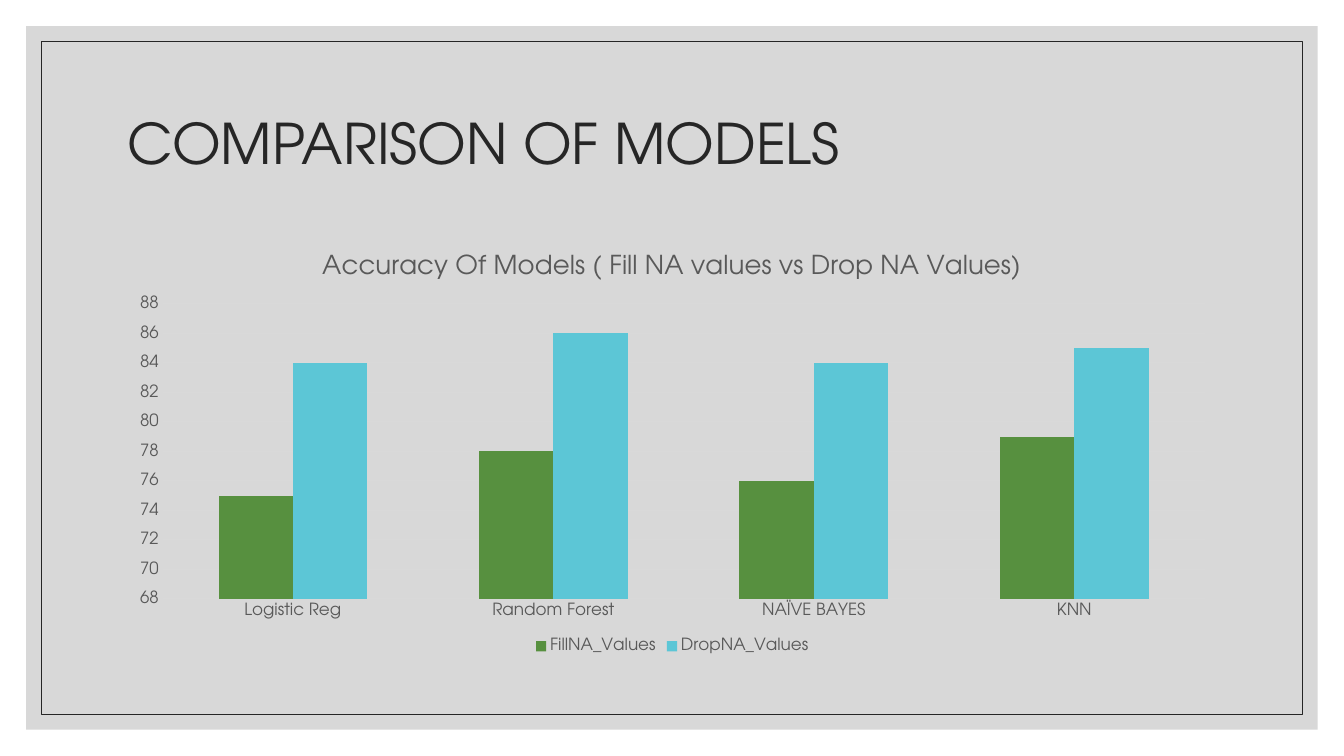
"""Build the slide comparing model accuracy for filled and dropped NA values."""
from lxml import etree
from pptx import Presentation
from pptx import util as u
from pptx.chart.data import CategoryChartData
from pptx.dml.color import RGBColor
from pptx.enum import chart as ch, shapes, text
from pptx.oxml.ns import qn

HEADING = "COMPARISON OF MODELS"
CHART_TITLE = "Accuracy Of Models ( Fill NA values vs Drop NA Values)"
MODELS = ["Logistic Reg", "Random Forest", "NAÏVE BAYES", "KNN"]
ACCURACY = {
    "FillNA_Values": (75, 78, 76, 79),
    "DropNA_Values": (84, 86, 84, 85),
}
SCALE = {"minimum_scale": 68, "maximum_scale": 88, "major_unit": 2}

THEME = {
    "font": "TeX Gyre Adventor",
    "ink": "262626", "label": "595959", "rule": "D9D9D9", "panel": "BFBFBF",
    "series": ("57903F", "5CC6D6"),
    "panel_opacity": 60,
    "heading_size": 40, "chart_title_size": 18.6, "label_size": 12,
    "frame_line": 0.5, "chart_line": 0.75,
}
SLIDE_W, SLIDE_H = 960, 540
PANEL_INSET, FRAME_INSET = 18.72, 29.52
CONTENT_LEFT, CONTENT_W = 84.24, 792
HEADING_TOP, HEADING_H = 50.4, 108
CHART_TOP, CHART_H = 167.04, 303.12


def color(name):
    return RGBColor.from_string(THEME.get(name, name))


def style_font(font, size, ink):
    font.name = THEME["font"]
    font.size = u.Pt(THEME[size])
    font.bold = False
    font.color.rgb = color(ink)


def style_line(line, ink, width):
    line.color.rgb = color(ink)
    line.width = u.Pt(THEME[width])


def inset_rectangle(slide, inset):
    rectangle = slide.shapes.add_shape(
        shapes.MSO_SHAPE.RECTANGLE, u.Pt(inset), u.Pt(inset),
        u.Pt(SLIDE_W - 2 * inset), u.Pt(SLIDE_H - 2 * inset))
    rectangle.shadow.inherit = False
    return rectangle


def add_backdrop(slide):
    panel = inset_rectangle(slide, PANEL_INSET)
    panel.fill.solid()
    panel.fill.fore_color.rgb = color("panel")
    panel.line.fill.background()
    tint = panel.fill._xPr.find(qn("a:solidFill"))[0]
    etree.SubElement(tint, qn("a:alpha"), val=str(THEME["panel_opacity"] * 1000))

    frame = inset_rectangle(slide, FRAME_INSET)
    frame.fill.background()
    style_line(frame.line, "ink", "frame_line")


def add_heading(slide):
    heading = slide.shapes.add_textbox(
        u.Pt(CONTENT_LEFT), u.Pt(HEADING_TOP), u.Pt(CONTENT_W), u.Pt(HEADING_H)).text_frame
    heading.word_wrap = True
    heading.vertical_anchor = text.MSO_ANCHOR.MIDDLE
    paragraph = heading.paragraphs[0]
    paragraph.text = HEADING
    paragraph.line_spacing = 0.9
    style_font(paragraph.font, "heading_size", "ink")


def add_accuracy_chart(slide):
    accuracy = CategoryChartData()
    accuracy.categories = MODELS
    for name, values in ACCURACY.items():
        accuracy.add_series(name, values)
    chart = slide.shapes.add_chart(
        ch.XL_CHART_TYPE.COLUMN_CLUSTERED, u.Pt(CONTENT_LEFT), u.Pt(CHART_TOP),
        u.Pt(CONTENT_W), u.Pt(CHART_H), accuracy).chart
    style_font(chart.font, "label_size", "label")

    chart.has_title = True
    title = chart.chart_title.text_frame.paragraphs[0]
    title.text = CHART_TITLE
    style_font(title.font, "chart_title_size", "label")
    chart.chart_title.include_in_layout = False

    chart.has_legend = True
    chart.legend.position = ch.XL_LEGEND_POSITION.BOTTOM
    chart.legend.include_in_layout = False
    style_font(chart.legend.font, "label_size", "label")

    for axis in (chart.category_axis, chart.value_axis):
        axis.major_tick_mark = axis.minor_tick_mark = ch.XL_TICK_MARK.NONE
        style_font(axis.tick_labels.font, "label_size", "label")
    style_line(chart.category_axis.format.line, "rule", "chart_line")
    chart.value_axis.format.line.fill.background()
    style_line(chart.value_axis.major_gridlines.format.line, "rule", "chart_line")
    for setting, value in SCALE.items():
        setattr(chart.value_axis, setting, value)

    plot = chart.plots[0]
    plot.gap_width = 150
    plot.overlap = 0
    plot.vary_by_categories = False
    for series, fill in zip(plot.series, THEME["series"]):
        series.format.fill.solid()
        series.format.fill.fore_color.rgb = color(fill)


def main():
    deck = Presentation()
    deck.slide_width, deck.slide_height = u.Pt(SLIDE_W), u.Pt(SLIDE_H)
    slide = deck.slides.add_slide(deck.slide_layouts[6])
    add_backdrop(slide)
    add_heading(slide)
    add_accuracy_chart(slide)
    deck.save("out.pptx")


if __name__ == "__main__":
    main()
